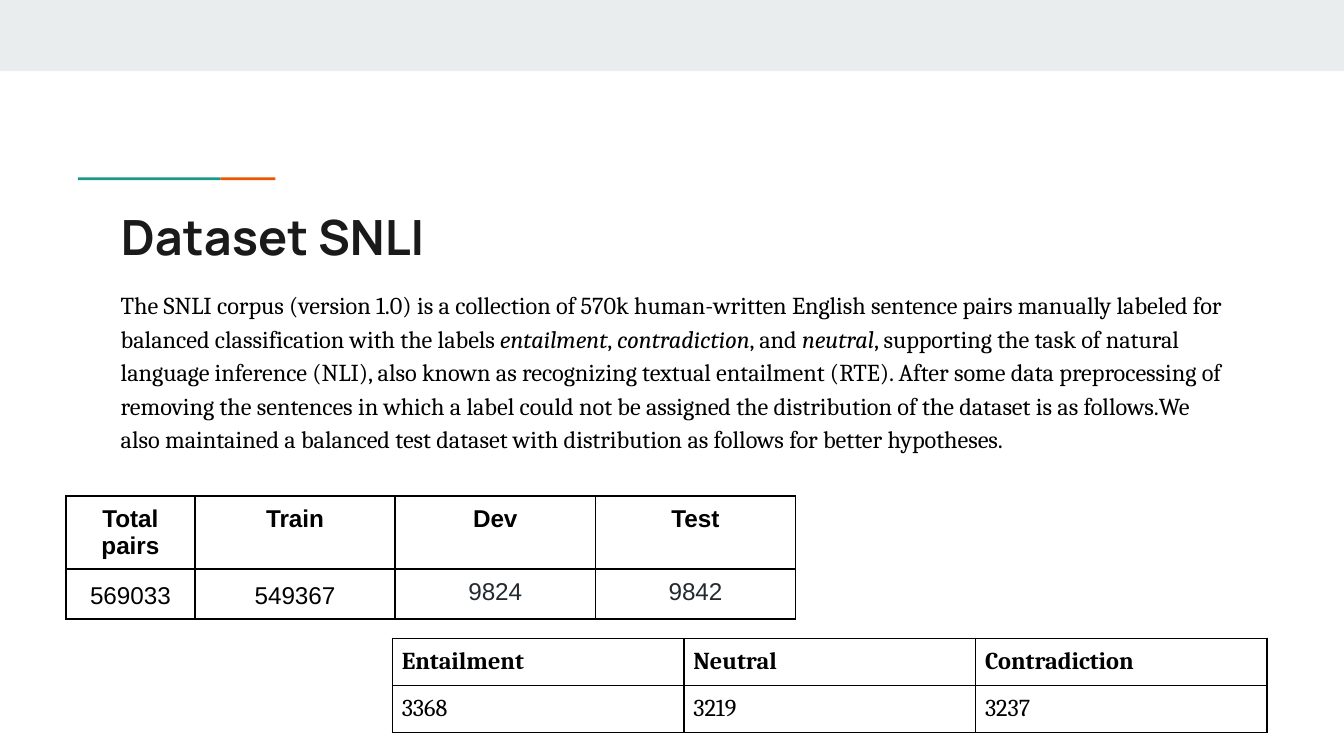
from dataclasses import dataclass

from lxml.etree import SubElement
from pptx import Presentation
from pptx.dml.color import RGBColor
from pptx.enum.shapes import MSO_SHAPE
from pptx.enum.text import MSO_ANCHOR, MSO_AUTO_SIZE, PP_ALIGN
from pptx.oxml.ns import qn
from pptx.util import Inches, Pt

BLACK = "000000"


@dataclass
class Band:
    left: float
    top: float
    width: float
    height: float
    color: str


@dataclass
class Grid:
    left: float
    top: float
    widths: list[float]
    heights: list[float]
    rows: list[list[str]]
    font: str
    align: PP_ALIGN


def rgb(color: str) -> RGBColor:
    return RGBColor.from_string(color)


def add_run(paragraph, text: str, font: str, size: float, color: str = BLACK,
            bold: bool = False, italic: bool = False) -> None:
    run = paragraph.add_run()
    run.text = text
    run.font.name, run.font.size = font, Pt(size)
    run.font.bold, run.font.italic = bold, italic
    run.font.color.rgb = rgb(color)


def set_frame(frame) -> None:
    frame.word_wrap = True
    frame.auto_size = MSO_AUTO_SIZE.NONE
    frame.vertical_anchor = MSO_ANCHOR.TOP
    frame.margin_left = frame.margin_right = Inches(0.1)
    frame.margin_top = frame.margin_bottom = Inches(0.1)


def draw_band(slide, band: Band) -> None:
    shape = slide.shapes.add_shape(
        MSO_SHAPE.RECTANGLE, Inches(band.left), Inches(band.top),
        Inches(band.width), Inches(band.height))
    shape.shadow.inherit = False
    shape.fill.solid()
    shape.fill.fore_color.rgb = rgb(band.color)
    shape.line.fill.background()


def set_borders(cell) -> None:
    properties = cell._tc.get_or_add_tcPr()
    for side in ("a:lnL", "a:lnR", "a:lnT", "a:lnB"):
        line = SubElement(properties, qn(side), w=str(Pt(1)))
        fill = SubElement(line, qn("a:solidFill"))
        SubElement(fill, qn("a:srgbClr"), val=BLACK)


def draw_grid(slide, grid: Grid):
    table = slide.shapes.add_table(
        len(grid.rows), len(grid.widths), Inches(grid.left), Inches(grid.top),
        Inches(sum(grid.widths)), Inches(sum(grid.heights))).table
    table.horz_banding = False
    for column, width in zip(table.columns, grid.widths):
        column.width = Inches(width)
    for r, (height, values) in enumerate(zip(grid.heights, grid.rows)):
        table.rows[r].height = Inches(height)
        for c, value in enumerate(values):
            cell = table.cell(r, c)
            set_borders(cell)
            cell.fill.background()
            cell.margin_left = cell.margin_right = Inches(0.07)
            cell.margin_top = cell.margin_bottom = Inches(0.07)
            paragraph = cell.text_frame.paragraphs[0]
            paragraph.alignment = grid.align
            add_run(paragraph, value, grid.font, 13, bold=r == 0)
    return table


# Widescreen slide, 16:9
prs = Presentation()
prs.slide_width = Inches(10)
prs.slide_height = prs.slide_width * 9 // 16
slide = prs.slides.add_slide(prs.slide_layouts[5])

# Header band and two-colour accent line
for band in (Band(0, 0, 10, 0.53, "E9EDEE"),
             Band(1.64, 1.32, 0.41, 0.02, "EB5600"),
             Band(0.58, 1.32, 1.06, 0.02, "1A9988")):
    draw_band(slide, band)

# Title
title = slide.shapes.title
title.left, title.top = Inches(0.8), Inches(1.44)
title.width, title.height = Inches(8.41), Inches(0.59)
set_frame(title.text_frame)
heading = title.text_frame.paragraphs[0]
heading.alignment = PP_ALIGN.LEFT
add_run(heading, "Dataset SNLI", "Manrope", 26, "1A1A1A", bold=True)

# Description, with the label names in italics
description = slide.shapes.add_textbox(
    Inches(0.8), Inches(2.03), Inches(8.41), Inches(2.47))
set_frame(description.text_frame)
summary = description.text_frame.paragraphs[0]
summary.line_spacing = 1.15
LABELS = ("entailment", "contradiction", "neutral")
for text in (
    "The SNLI corpus (version 1.0) is a collection of 570k human-written "
    "English sentence pairs manually labeled for balanced classification "
    "with the labels ",
    LABELS[0], ", ", LABELS[1], ", and ", LABELS[2],
    ", supporting the task of natural language inference (NLI), also known as "
    "recognizing textual entailment (RTE). After some data preprocessing of "
    "removing the sentences in which a label could not be assigned the "
    "distribution of the dataset is as follows.We also maintained a balanced "
    "test dataset with distribution as follows for better hypotheses.",
):
    add_run(summary, text, "Cambria", 13, italic=text in LABELS)

# Dataset split
split = draw_grid(slide, Grid(
    0.49, 3.69, [0.96] + [1.49] * 3, [0.54, 0.37],
    [["Total pairs", "Train", "Dev", "Test"],
     ["569033", "549367", "9824", "9842"]], "Arial", PP_ALIGN.CENTER))
for column in (0, 1):
    split.cell(1, column).text_frame.paragraphs[0].line_spacing = 1.15
for column in (2, 3):
    count = split.cell(1, column).text_frame.paragraphs[0].runs[0]
    count.font.color.rgb = rgb("24292E")

# Label distribution of the test set
draw_grid(slide, Grid(
    2.92, 4.75, [2.17] * 3, [0.35] * 2,
    [["Entailment", "Neutral", "Contradiction"],
     ["3368", "3219", "3237"]], "Cambria", PP_ALIGN.LEFT))

prs.save("out.pptx")
